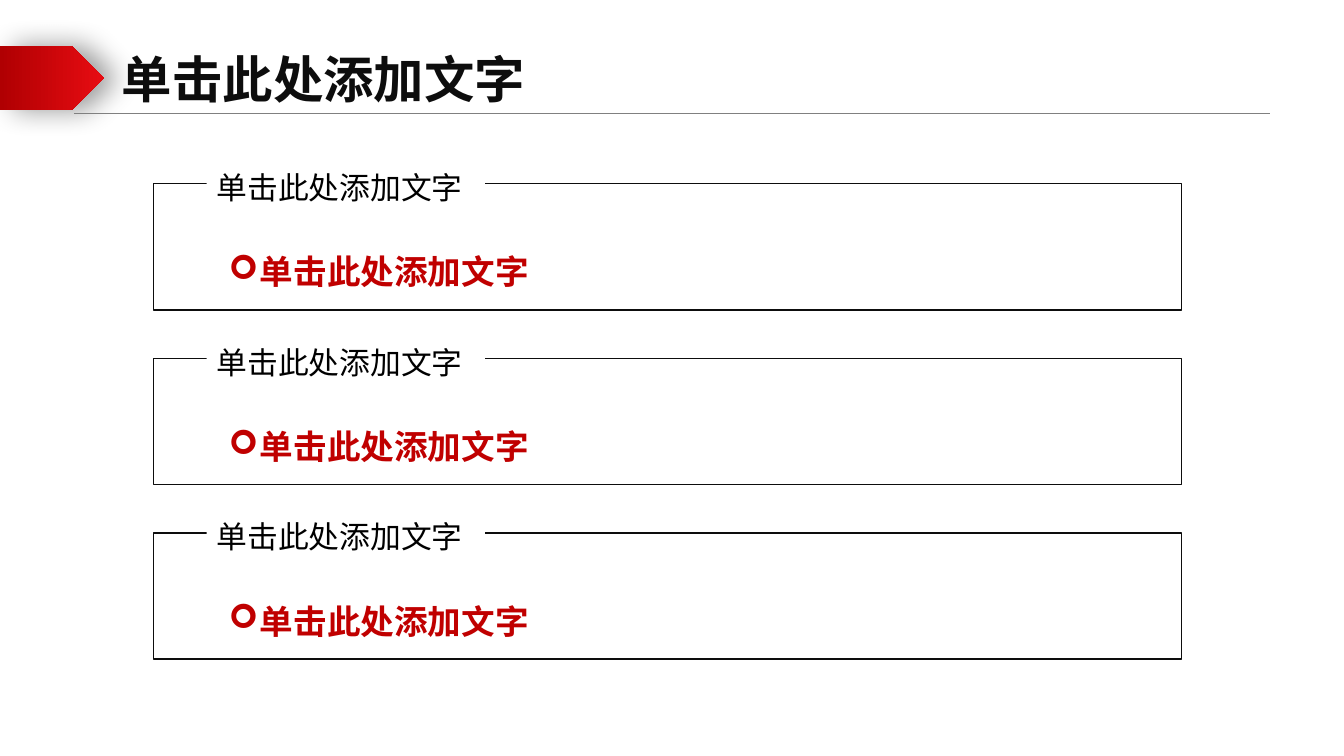
from dataclasses import dataclass
from lxml.etree import SubElement
from pptx import Presentation
from pptx.dml.color import RGBColor as RGB
from pptx.enum.shapes import MSO_CONNECTOR as Connector, MSO_SHAPE as Preset
from pptx.enum.text import MSO_ANCHOR as Anchor, MSO_AUTO_SIZE as AutoSize, PP_ALIGN as Align
from pptx.oxml.ns import qn
from pptx.util import Cm, Pt

TITLE = "单击此处添加文字"
SECTIONS = [
    ("单击此处添加文字", "单击此处添加文字"),
    ("单击此处添加文字", "单击此处添加文字"),
    ("单击此处添加文字", "单击此处添加文字"),
]


@dataclass(frozen=True)
class Theme:
    font: str = "Noto Sans CJK SC"
    ink: str = "0D0D0D"
    label: str = "000000"
    accent: str = "C00000"
    rule: str = "808080"
    paper: str = "FFFFFF"
    ribbon: tuple = ("B00002", "E70C12")
    title_size: int = 36
    label_size: int = 22
    point_size: int = 24


THEME = Theme()
SLIDE_SIZE = (33.87, 19.05)
RIBBON = (0, 1.15, 2.62, 1.63)
TITLE_BOX = (2.82, 1.07, 10.77, 1.8)
RULE = (1.86, 2.86, 32, 2.86)
FRAME = (3.87, 4.63, 25.9, 3.18)
LABEL = (5.21, 4.12, 7.01, 1.19)
POINT = (5.51, 5.33, 21.29, 2.01)
SECTION_STEP = 4.4
POINT_INDENT = 0.79


def centimetres(box, drop=0):
    left, top, width, height = box
    return [Cm(value) for value in (left, top + drop, width, height)]


def assign(target, values):
    for name, value in values.items():
        setattr(target, name, value)


def write(shape, text, size, color, bold=False, wrap=True):
    frame = shape.text_frame
    frame.text = text
    assign(frame, {
        "word_wrap": wrap, "auto_size": AutoSize.NONE, "vertical_anchor": Anchor.MIDDLE,
        "margin_left": Cm(0.25), "margin_right": Cm(0.25),
        "margin_top": Cm(0.13), "margin_bottom": Cm(0.13),
    })
    paragraph = frame.paragraphs[0]
    paragraph.alignment = Align.LEFT
    run = paragraph.runs[0]
    assign(run.font, {"size": Pt(size), "bold": bold, "name": THEME.font})
    run.font.color.rgb = RGB.from_string(color)
    SubElement(run.font._element, qn("a:ea"), typeface=THEME.font)
    return paragraph


def add_bullet(paragraph, character):
    properties = paragraph._p.get_or_add_pPr()
    indent = Cm(POINT_INDENT)
    properties.set("marL", str(indent))
    properties.set("indent", str(-indent))
    SubElement(properties, qn("a:buFont"), typeface="Wingdings")
    SubElement(properties, qn("a:buChar"), char=character)


def add_ribbon(slide):
    ribbon = slide.shapes.add_shape(Preset.PENTAGON, *centimetres(RIBBON))
    ribbon.line.fill.background()
    ribbon.fill.gradient()
    ribbon.fill.gradient_angle = 0
    for stop, color in zip(ribbon.fill.gradient_stops, THEME.ribbon):
        stop.color.rgb = RGB.from_string(color)
    ribbon.shadow.inherit = False
    effects = ribbon.element.spPr.find(qn("a:effectLst"))
    shadow = SubElement(effects, qn("a:outerShdw"), blurRad=str(Pt(20)),
                        dist=str(Pt(10)), dir="0", algn="l", rotWithShape="0")
    color = SubElement(shadow, qn("a:srgbClr"), val="000000")
    SubElement(color, qn("a:alpha"), val="40000")


def add_rule(slide):
    rule = slide.shapes.add_connector(Connector.STRAIGHT, *[Cm(value) for value in RULE])
    rule.line.width = Pt(0.25)
    rule.line.color.rgb = RGB.from_string(THEME.rule)
    SubElement(rule.element.spPr, qn("a:effectLst"))


def add_title(slide):
    title = slide.shapes.title
    assign(title, dict(zip(("left", "top", "width", "height"), centimetres(TITLE_BOX))))
    write(title, TITLE, THEME.title_size, THEME.ink, bold=True, wrap=False)
    title.element.getparent().append(title.element)


def add_section(slide, drop, label_text, point_text):
    shapes = slide.shapes.add_group_shape().shapes

    frame = shapes.add_shape(Preset.RECTANGLE, *centimetres(FRAME, drop))
    frame.shadow.inherit = False
    frame.fill.background()
    frame.line.width = Pt(1)
    frame.line.color.rgb = RGB.from_string(THEME.ink)

    label = shapes.add_shape(Preset.RECTANGLE, *centimetres(LABEL, drop))
    label.shadow.inherit = False
    label.fill.solid()
    label.fill.fore_color.rgb = RGB.from_string(THEME.paper)
    label.line.fill.background()
    write(label, label_text, THEME.label_size, THEME.label)

    point = shapes.add_textbox(*centimetres(POINT, drop))
    paragraph = write(point, point_text, THEME.point_size, THEME.accent, bold=True)
    paragraph.line_spacing = 2.0
    add_bullet(paragraph, "➢")


def main():
    presentation = Presentation()
    width, height = SLIDE_SIZE
    assign(presentation, {"slide_width": Cm(width), "slide_height": Cm(height)})
    slide = presentation.slides.add_slide(presentation.slide_layouts.get_by_name("Title Only"))
    add_ribbon(slide)
    add_rule(slide)
    add_title(slide)
    for index, texts in enumerate(SECTIONS):
        add_section(slide, index * SECTION_STEP, *texts)
    presentation.save("out.pptx")


if __name__ == "__main__":
    main()
